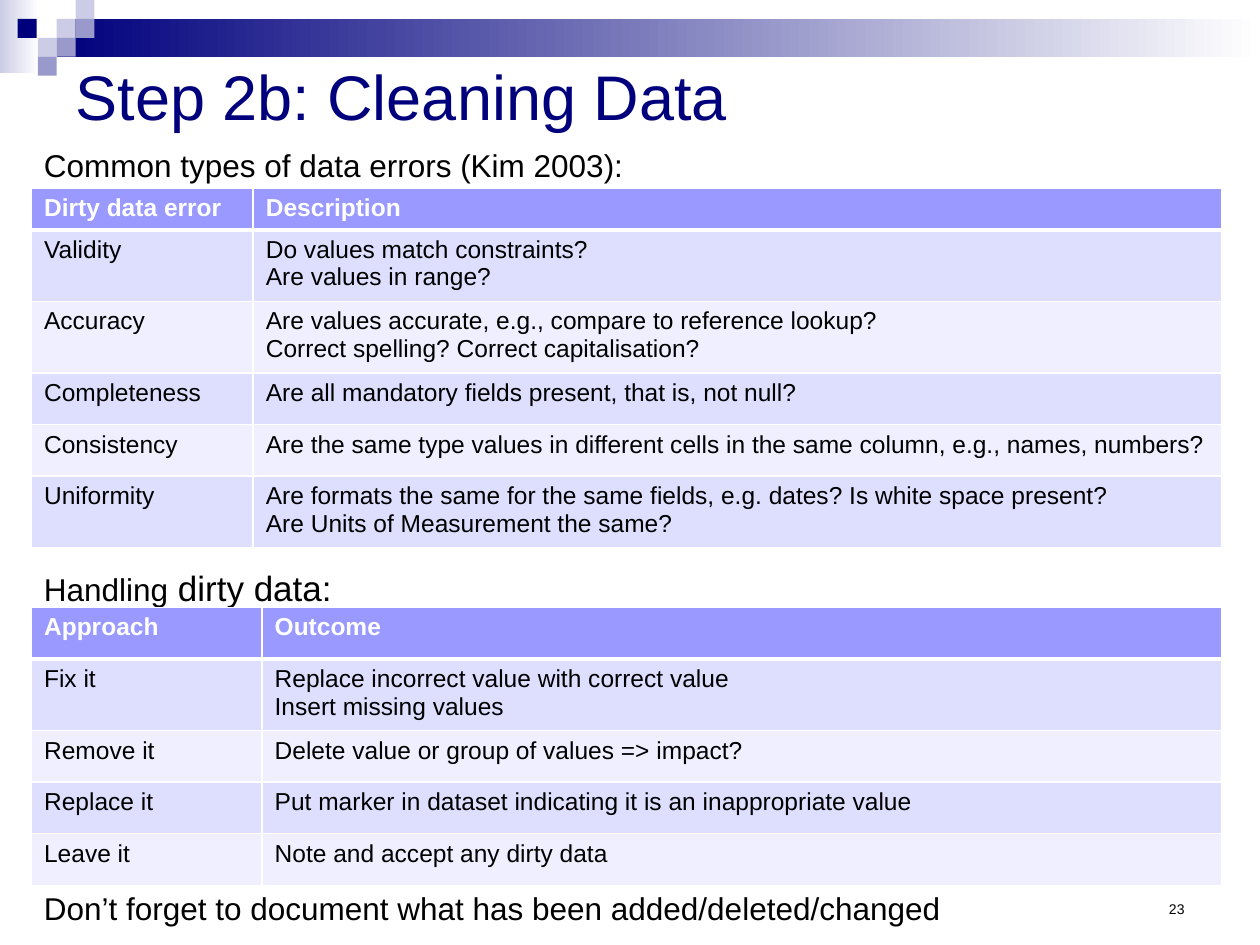
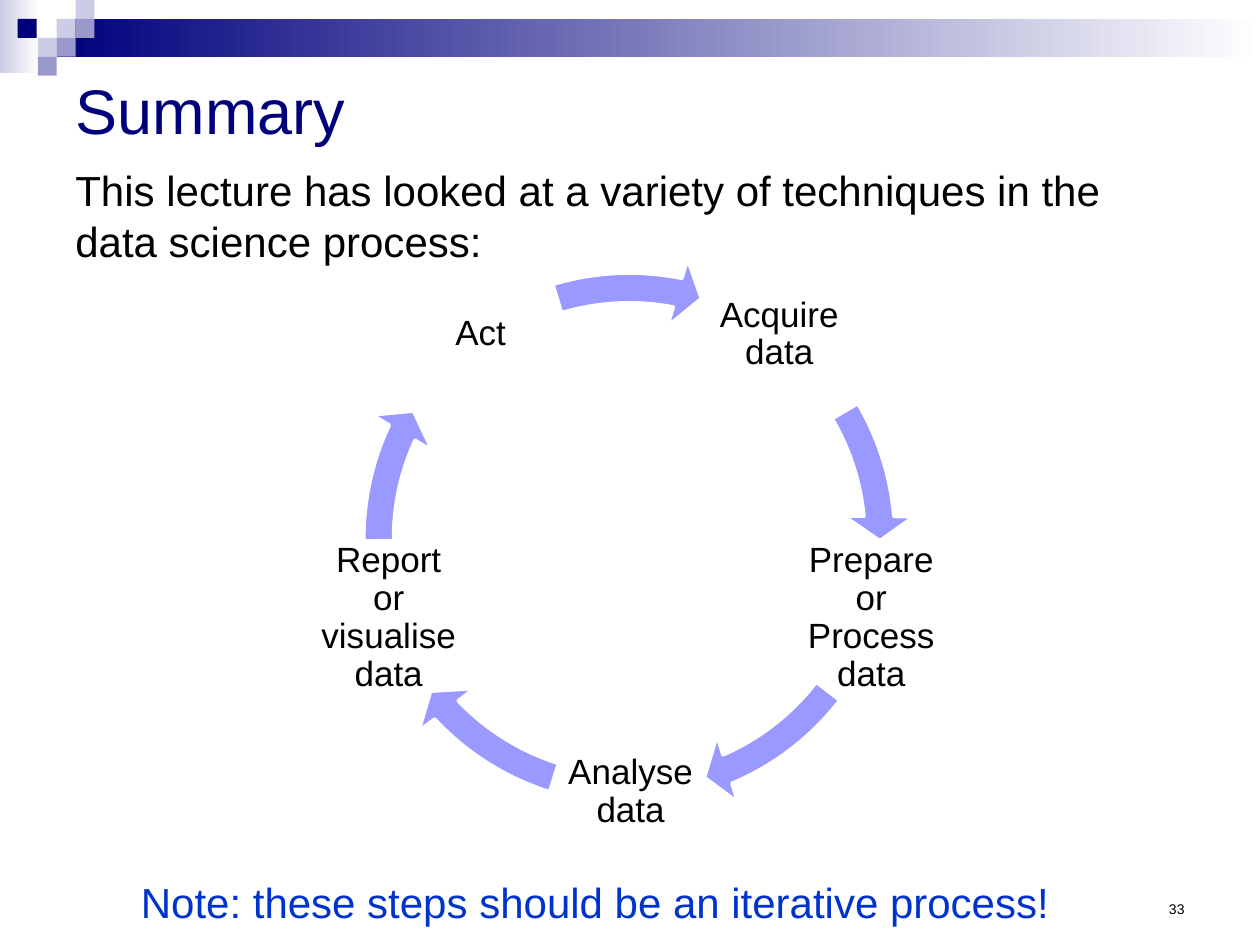
import pptx
import pptx.dml.color
import pptx.enum.shapes
import pptx.enum.text
import pptx.oxml
import pptx.oxml.ns
import pptx.util
from pptx.util import Inches

SHAPE = pptx.enum.shapes.MSO_SHAPE
ALIGN = pptx.enum.text.PP_ALIGN
ANCHOR = pptx.enum.text.MSO_ANCHOR

# Shared look
FONT = "Arial"
NAVY, PALE, MID, WHITE, BLACK = "00007D", "CCCCE6", "9999CC", "FFFFFF", "000000"
NOTE_BLUE, ACCENT = "0033CC", "9999FF"
ROW_FILLS = ("DEDEFF", "EFEFFF")
SQUARE = 0.15
GRADIENT_BANDS = [((0, 0, 0.31, 0.58), PALE), ((0.45, 0.15, 9.55, 0.3), NAVY)]
SQUARES = [(0.45, 0.15, PALE), (0.6, 0, PALE), (0.6, 0.15, MID), (0.3, 0.3, PALE),
           (0.14, 0.15, NAVY), (0.45, 0.3, MID), (0.3, 0.45, MID)]

# Cleaning slide content
ERROR_ROWS = [
    ("Dirty data error", "Description"),
    ("Validity", "Do values match constraints?\nAre values in range?"),
    ("Accuracy", "Are values accurate, e.g., compare to reference lookup?\n"
                 "Correct spelling? Correct capitalisation?"),
    ("Completeness", "Are all mandatory fields present, that is, not null?"),
    ("Consistency", "Are the same type values in different cells in the same column, "
                    "e.g., names, numbers?"),
    ("Uniformity", "Are formats the same for the same fields, e.g. dates? "
                   "Is white space present?\nAre Units of Measurement the same?"),
]
APPROACH_ROWS = [
    ("Approach", "Outcome"),
    ("Fix it", "Replace incorrect value with correct value\nInsert missing values"),
    ("Remove it", "Delete value or group of values => impact?"),
    ("Replace it", "Put marker in dataset indicating it is an inappropriate value"),
    ("Leave it", "Note and accept any dirty data"),
]

# Summary slide content: step, left, top, then start and head angle of the next arrow
STEPS = [
    ("Acquire data", 5.58, 2.05, 329.42, 354.91),
    ("Prepare or Process data", 6.31, 4.3, 37.54, 66.94),
    ("Analyse data", 4.4, 5.68, 107.47, 136.87),
    ("Report or visualise data", 2.48, 4.3, 179.5, 204.99),
    ("Act", 3.21, 2.05, 253.29, 281.12),
]
STEP_SIZE = 1.21
RING = (2.73, 2.01, 4.53, 4.53)


def color(value):
    return pptx.dml.color.RGBColor.from_string(value)


def lengths(box):
    return [Inches(value) for value in box]


def write(frame, text, size=18, fill=BLACK, bold=False, align=ALIGN.LEFT, anchor=ANCHOR.TOP,
          inset=None, line_spacing=None, before=None, after=None):
    """Write text, one paragraph per line, in one format."""
    frame.text = text
    frame.word_wrap = True
    frame.vertical_anchor = anchor
    if inset is not None:
        frame.margin_left = frame.margin_right = Inches(inset)
        frame.margin_top = frame.margin_bottom = Inches(inset)
    for paragraph in frame.paragraphs:
        paragraph.alignment = align
        if line_spacing is not None:
            paragraph.line_spacing = line_spacing
        if before is not None:
            paragraph.space_before = pptx.util.Pt(before)
        if after is not None:
            paragraph.space_after = pptx.util.Pt(after)
        for run in paragraph.runs:
            style_run(run, size, fill, bold)


def style_run(run, size, fill=BLACK, bold=False):
    run.font.name = FONT
    run.font.size = pptx.util.Pt(size)
    run.font.bold = bold
    run.font.color.rgb = color(fill)


def add_text(slide, box, text, **text_format):
    frame = slide.shapes.add_textbox(*lengths(box)).text_frame
    write(frame, text, **text_format)
    return frame


def add_band(slide, box, fill, fade=False):
    shape = slide.shapes.add_shape(SHAPE.RECTANGLE, *lengths(box))
    shape.shadow.inherit = False
    shape.line.fill.background()
    if fade:
        shape.fill.gradient()
        shape.fill.gradient_angle = 0
        for stop, stop_fill, position in zip(shape.fill.gradient_stops, (fill, WHITE), (0, 1)):
            stop.color.rgb = color(stop_fill)
            stop.position = position
    else:
        shape.fill.solid()
        shape.fill.fore_color.rgb = color(fill)


def start_slide(presentation, title, title_box, number):
    """Add a slide with the bands, the title and the slide number."""
    slide = presentation.slides.add_slide(presentation.slide_layouts[5])
    for box, fill in GRADIENT_BANDS:
        add_band(slide, box, fill, fade=True)
    for left, top, fill in SQUARES:
        add_band(slide, (left, top, SQUARE, SQUARE), fill)
    # Title in front of the bands
    placeholder = slide.shapes.title
    placeholder.left, placeholder.top, placeholder.width, placeholder.height = lengths(title_box)
    write(placeholder.text_frame, title, size=36, fill=NAVY, anchor=ANCHOR.MIDDLE)
    placeholder.text_frame.auto_size = pptx.enum.text.MSO_AUTO_SIZE.NONE
    slide.shapes._spTree.append(placeholder._element)
    add_text(slide, (7.17, 6.98, 2.33, 0.35), number, size=8,
             align=ALIGN.RIGHT, anchor=ANCHOR.BOTTOM)
    return slide


def border_cell(cell, bottom_width):
    properties = cell._tc.get_or_add_tcPr()
    widths = {"lnL": 1, "lnR": 1, "lnT": 1, "lnB": bottom_width}
    for index, (side, width) in enumerate(widths.items()):
        properties.insert(index, pptx.oxml.parse_xml(
            f'<a:{side} {pptx.oxml.ns.nsdecls("a")} w="{pptx.util.Pt(width)}">'
            f'<a:solidFill><a:srgbClr val="{WHITE}"/></a:solidFill></a:{side}>'))


def add_grid(slide, top, column_widths, rows, header_height):
    heights = [header_height] + [0.54 if "\n" in text else 0.41 for _, text in rows[1:]]
    box = (0.25, top, sum(column_widths), sum(heights))
    table = slide.shapes.add_table(len(rows), len(column_widths), *lengths(box)).table
    for column, width in zip(table.columns, column_widths):
        column.width = Inches(width)
    for row_index, texts in enumerate(rows):
        header = row_index == 0
        table.rows[row_index].height = Inches(heights[row_index])
        for column_index, text in enumerate(texts):
            cell = table.cell(row_index, column_index)
            write(cell.text_frame, text, size=14, fill=WHITE if header else BLACK, bold=header)
            cell.fill.solid()
            cell.fill.fore_color.rgb = color(ACCENT if header else ROW_FILLS[(row_index - 1) % 2])
            border_cell(cell, 3 if header else 1)


def add_cycle_arrow(slide, start, head):
    arrow = slide.shapes.add_shape(SHAPE.CIRCULAR_ARROW, *lengths(RING))
    arrow.shadow.inherit = False
    # One degree is 0.6 adjustment units
    for index, value in enumerate((0.052, 3.356, head * 0.6, start * 0.6, 0.061)):
        arrow.adjustments[index] = value
    arrow.fill.solid()
    arrow.fill.fore_color.rgb = color(ACCENT)
    arrow.line.color.rgb = color(WHITE)
    arrow.line.width = pptx.util.Pt(2)


def build_cleaning_slide(presentation):
    slide = start_slide(presentation, "Step 2b: Cleaning Data", (0.5, 0.4, 9, 0.71), "23")
    add_text(slide, (0.25, 1.11, 9.45, 0.61), "Common types of data errors (Kim 2003):", before=3.6)
    add_grid(slide, 1.49, (1.76, 7.69), ERROR_ROWS, 0.33)
    handling = add_text(slide, (0.25, 4.45, 2.6, 0.44), "Handling")
    run = handling.paragraphs[0].add_run()
    run.text = " dirty data:"
    style_run(run, 20)
    add_text(slide, (0.25, 7.01, 9.25, 0.4),
             "Don’t forget to document what has been added/deleted/changed")
    add_grid(slide, 4.82, (1.83, 7.62), APPROACH_ROWS, 0.41)


def build_summary_slide(presentation):
    slide = start_slide(presentation, "Summary", (0.5, 0.38, 9, 0.97), "33")
    for step, left, top, start, head in STEPS:
        add_text(slide, (left, top, STEP_SIZE, STEP_SIZE), step, size=20, align=ALIGN.CENTER,
                 anchor=ANCHOR.MIDDLE, inset=0.03, line_spacing=0.9, after=7)
        add_cycle_arrow(slide, start, head)
    add_text(slide, (1.02, 6.91, 7.96, 0.5),
             "Note: these steps should be an iterative process!", size=24, fill=NOTE_BLUE)
    add_text(slide, (0.5, 1.26, 8.97, 0.91),
             "This lecture has looked at a variety of techniques in the data science process:",
             size=24)


def main():
    presentation = pptx.Presentation()
    presentation.slide_width, presentation.slide_height = Inches(10), Inches(7.5)
    build_cleaning_slide(presentation)
    build_summary_slide(presentation)
    presentation.save("out.pptx")


if __name__ == "__main__":
    main()
